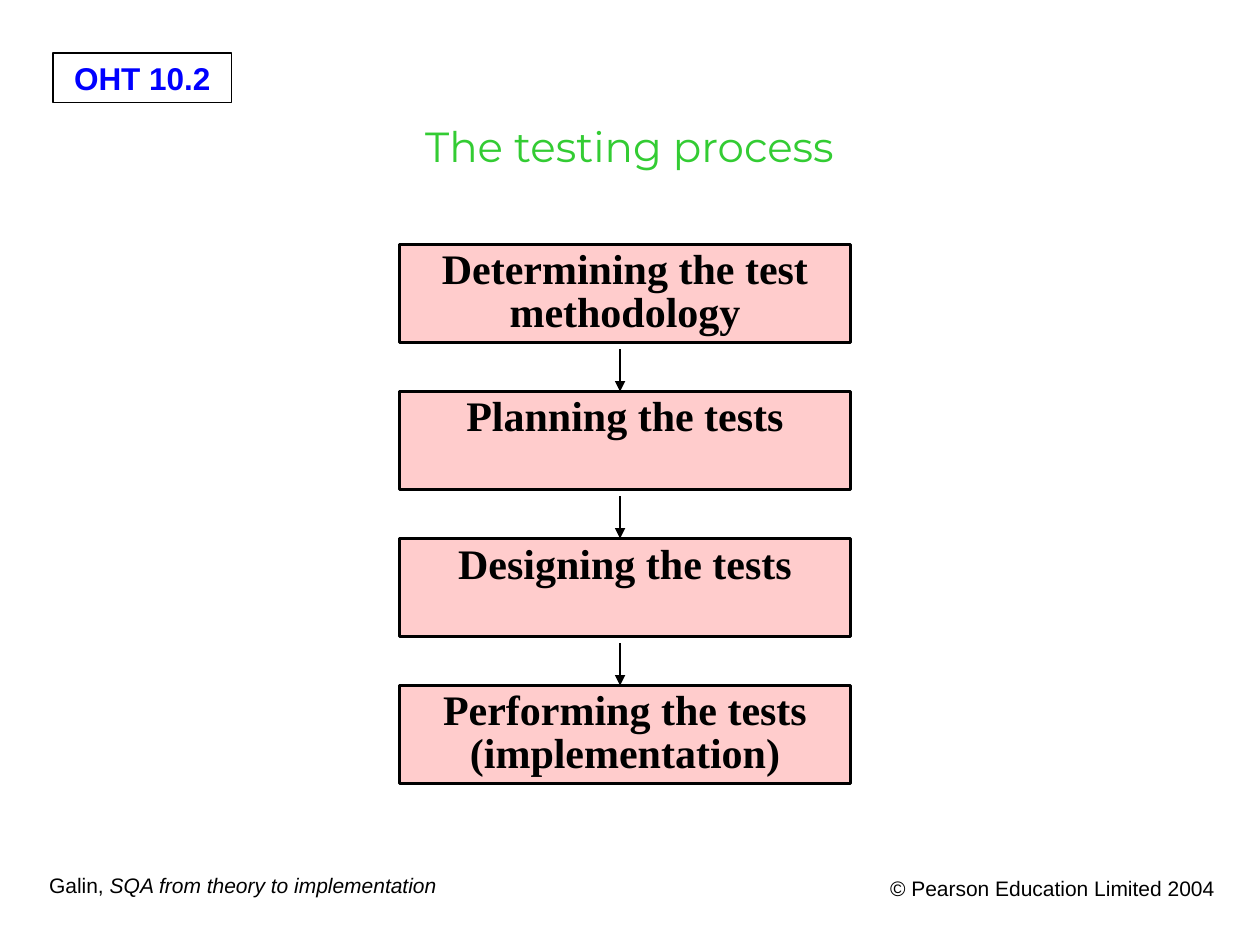
import pptx
import pptx.util
import pptx.dml.color
import pptx.enum.shapes
import pptx.enum.text
from dataclasses import dataclass
from lxml import etree

Cm, Pt = pptx.util.Cm, pptx.util.Pt
RGB = pptx.dml.color.RGBColor.from_string
Align = pptx.enum.text.PP_ALIGN
Anchor = pptx.enum.text.MSO_ANCHOR
Rect = pptx.enum.shapes.MSO_SHAPE.RECTANGLE
Line = pptx.enum.shapes.MSO_CONNECTOR.STRAIGHT


@dataclass(frozen=True)
class Theme:
    ink: str = "000000"
    blue: str = "0000FF"
    green: str = "33CC33"
    pink: str = "FFCCCC"
    sans: str = "Arial"
    serif: str = "Times New Roman"
    head: str = "Montserrat"
    big: int = 24
    mid: int = 18
    small: int = 12


theme = Theme()


def style(para, face, size, color, align, bold=False):
    para.alignment = align
    font = para.font
    font.name, font.size, font.bold = face, Pt(size), bold
    font.color.rgb = RGB(color)


def frame(shape, wrap=True):
    text = shape.text_frame
    text.word_wrap = wrap
    text.vertical_anchor = Anchor.TOP
    return text


def panel(shapes, box, width, fill=None):
    """Outlined rectangle, filled if a colour is given."""
    shape = shapes.add_shape(Rect, *map(Cm, box))
    shape.shadow.inherit = False
    if fill:
        shape.fill.solid()
        shape.fill.fore_color.rgb = RGB(fill)
    else:
        shape.fill.background()
    shape.line.color.rgb = RGB(theme.ink)
    shape.line.width = Pt(width)
    return shape


def arrow(shapes, x, top, end):
    link = shapes.add_connector(Line, Cm(x), Cm(top), Cm(x), Cm(end))
    link.line.color.rgb = RGB(theme.ink)
    link.line.width = Pt(1.5)
    ns = pptx.oxml.ns.qn
    etree.SubElement(link.line._get_or_add_ln(), ns("a:tailEnd"), type="triangle")
    etree.SubElement(link._element.spPr, ns("a:effectLst"))


def badge(slide, box, label):
    text = frame(panel(slide.shapes, box, 0.75))
    text.text = label
    style(text.paragraphs[0], theme.sans, theme.mid, theme.blue, Align.CENTER, True)


def title(slide, box, label):
    shape = slide.shapes.title
    shape.left, shape.top, shape.width, shape.height = map(Cm, box)
    text = frame(shape)
    text.text = label
    style(text.paragraphs[0], theme.head, theme.big, theme.green, Align.CENTER)


def flow(slide, box, steps):
    """Column of equal steps, joined by arrows."""
    left, top, width, height = box
    tall, gap = 1.98, 0.13
    pitch = (height - tall) / (len(steps) - 1)
    shapes = slide.shapes.add_group_shape().shapes
    for i, step in enumerate(steps):
        y = top + i * pitch
        text = frame(panel(shapes, (left, y, width, tall), 1.5, theme.pink))
        text.text = step
        for para in text.paragraphs:
            para.line_spacing = 0.85
            style(para, theme.serif, theme.big, theme.ink, Align.CENTER, True)
        if i:
            arrow(shapes, left + 4.45, y - pitch + tall + gap, y)


def footer(slide, box, parts, align, wrap):
    """One line of (text, italic) parts."""
    text = frame(slide.shapes.add_textbox(*map(Cm, box)), wrap)
    para = text.paragraphs[0]
    style(para, theme.sans, theme.small, theme.ink, align)
    for words, slant in parts:
        run = para.add_run()
        run.text = words
        if slant:
            run.font.italic = True


def main():
    deck = pptx.Presentation()
    deck.slide_width, deck.slide_height = Cm(25.4), Cm(19.05)
    slide = deck.slides.add_slide(deck.slide_layouts.get_by_name("Title Only"))

    # Header
    badge(slide, (1.07, 1.07, 3.6, 1), "OHT 10.2")
    title(slide, (5.79, 2.31, 13.8, 1.4), "The testing process")

    # Process
    flow(slide, (8.05, 4.93, 9.1, 10.87), [
        "Determining the test methodology",
        "Planning the tests",
        "Designing the tests",
        "Performing the tests\n(implementation)",
    ])

    # Footer
    footer(slide, (0.74, 17.47, 8.33, 0.77),
           [("Galin, ", False), ("SQA from theory to implementation", True)],
           Align.LEFT, False)
    footer(slide, (16.87, 17.53, 7.87, 1),
           [("© Pearson Education Limited 2004", False)], Align.RIGHT, True)

    deck.save("out.pptx")


if __name__ == "__main__":
    main()
